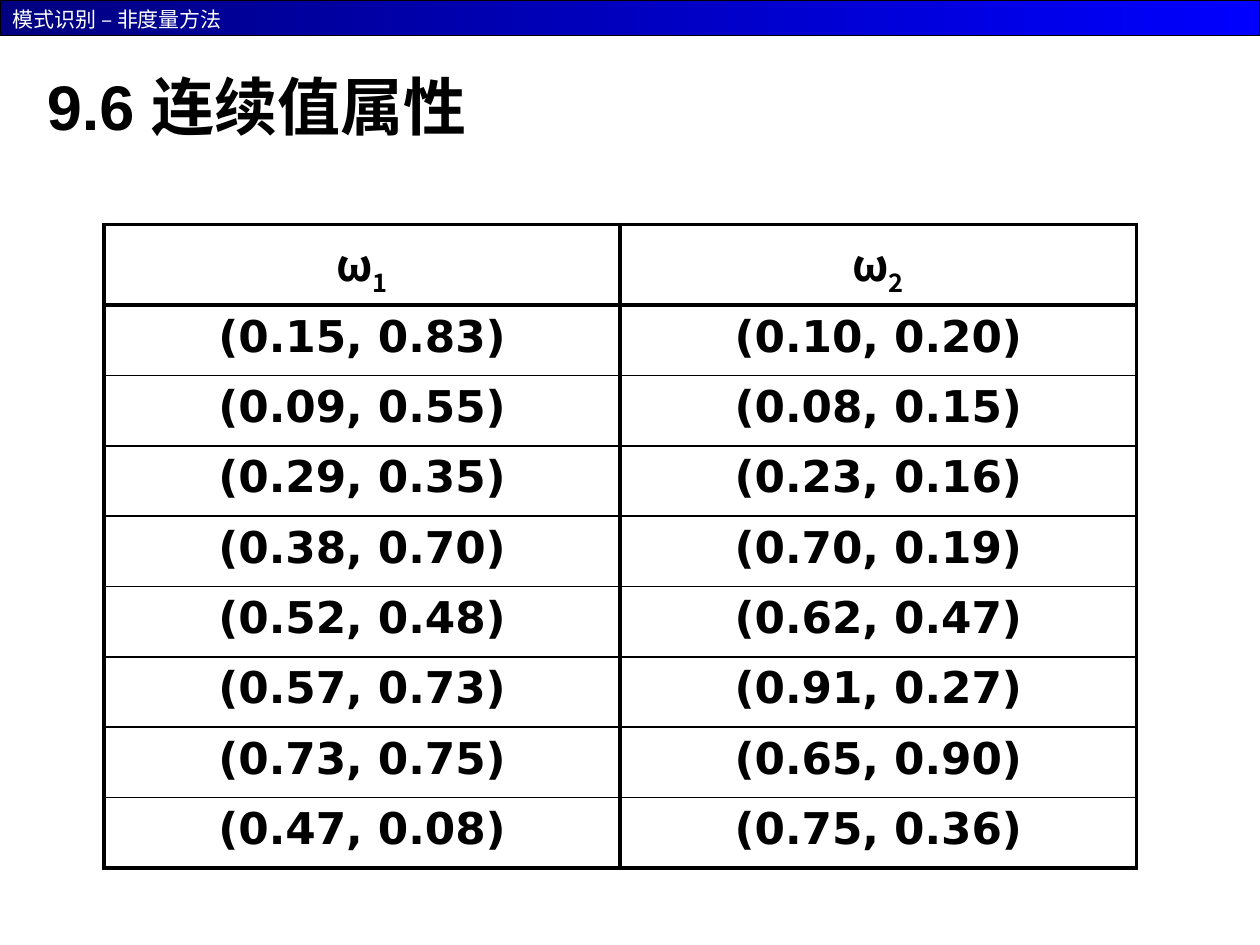
from pptx import Presentation
from pptx.dml.color import RGBColor
from pptx.enum.shapes import MSO_SHAPE
from pptx.enum.text import MSO_ANCHOR, MSO_AUTO_SIZE, PP_ALIGN
from pptx.oxml.ns import qn
from pptx.util import Pt
from lxml.etree import SubElement

BLACK = RGBColor(0, 0, 0)
WHITE = RGBColor(255, 255, 255)
NAVY = RGBColor(0, 0, 0x80)
BLUE = RGBColor(0, 0, 255)
SANS = "DejaVu Sans"
NOTO = "Noto Sans CJK SC"


def write(para, text, size=25, face=SANS, color=BLACK, bold=True, base=0):
    run = para.add_run()
    run.text = text
    font = run.font
    font.size, font.name, font.bold = Pt(size), face, bold
    font.color.rgb = color
    props = run._r.get_or_add_rPr()
    SubElement(props, qn("a:ea")).set("typeface", NOTO)
    if base:
        props.set("baseline", str(base * 1000))


def edge(cell, **widths):
    props = cell._tc.get_or_add_tcPr()
    for side, width in widths.items():
        line = SubElement(props, qn(f"a:ln{side}"), w=str(Pt(width)))
        fill = SubElement(line, qn("a:solidFill"))
        SubElement(fill, qn("a:srgbClr"), val=str(BLACK))


deck = Presentation()
deck.slide_width, deck.slide_height = Pt(720), Pt(540)
slide = deck.slides.add_slide(deck.slide_layouts[5])
shapes = slide.shapes

bar = shapes.add_shape(MSO_SHAPE.RECTANGLE, 0, 0, Pt(720), Pt(20.4))
bar.shadow.inherit = False
bar.fill.gradient()
bar.fill.gradient_angle = 0
for stop, color in zip(bar.fill.gradient_stops, (NAVY, BLUE)):
    stop.color.rgb = color
bar.line.color.rgb = BLACK
bar.line.width = Pt(0.75)

label = shapes.add_textbox(0, 0, Pt(258), Pt(21.6))
label.text_frame.word_wrap = True
for text, face in (("模式识别 ", SANS), ("– ", NOTO), ("非度量方法", SANS)):
    write(label.text_frame.paragraphs[0], text, size=12, face=face, color=WHITE, bold=False)

title = shapes.title
title.left, title.top, title.width, title.height = Pt(19.6), Pt(21.6), Pt(686), Pt(64)
frame = title.text_frame
frame.auto_size = MSO_AUTO_SIZE.NONE
frame.vertical_anchor = MSO_ANCHOR.BOTTOM
head = frame.paragraphs[0]
head.alignment = PP_ALIGN.LEFT
write(head, "9.6 连续值属性", size=36, face="Arial")

points = [
    ("(0.15, 0.83)", "(0.10, 0.20)"),
    ("(0.09, 0.55)", "(0.08, 0.15)"),
    ("(0.29, 0.35)", "(0.23, 0.16)"),
    ("(0.38, 0.70)", "(0.70, 0.19)"),
    ("(0.52, 0.48)", "(0.62, 0.47)"),
    ("(0.57, 0.73)", "(0.91, 0.27)"),
    ("(0.73, 0.75)", "(0.65, 0.90)"),
    ("(0.47, 0.08)", "(0.75, 0.36)"),
]
rows = [("1", "2")] + points
last = len(rows) - 1
top, high = 46.2, 40.2
grid = shapes.add_table(len(rows), 2, Pt(59.4), Pt(128.2), Pt(590), Pt(top + high * last))
table = grid.table
table.first_row = table.horz_banding = False
for r, row in enumerate(rows):
    table.rows[r].height = Pt(high if r else top)
    for c, text in enumerate(row):
        cell = table.cell(r, c)
        para = cell.text_frame.paragraphs[0]
        para.alignment = PP_ALIGN.CENTER
        if r == 0:
            write(para, "ω", face=NOTO)
            write(para, text, face=NOTO, base=-25)
        else:
            write(para, text)
        edge(
            cell,
            L=3 if c else 2.25,
            R=2.25 if c else 3,
            T={0: 2.25, 1: 3}.get(r, 1),
            B={0: 3, last: 2.25}.get(r, 1),
        )
        cell.fill.background()

deck.save("out.pptx")
